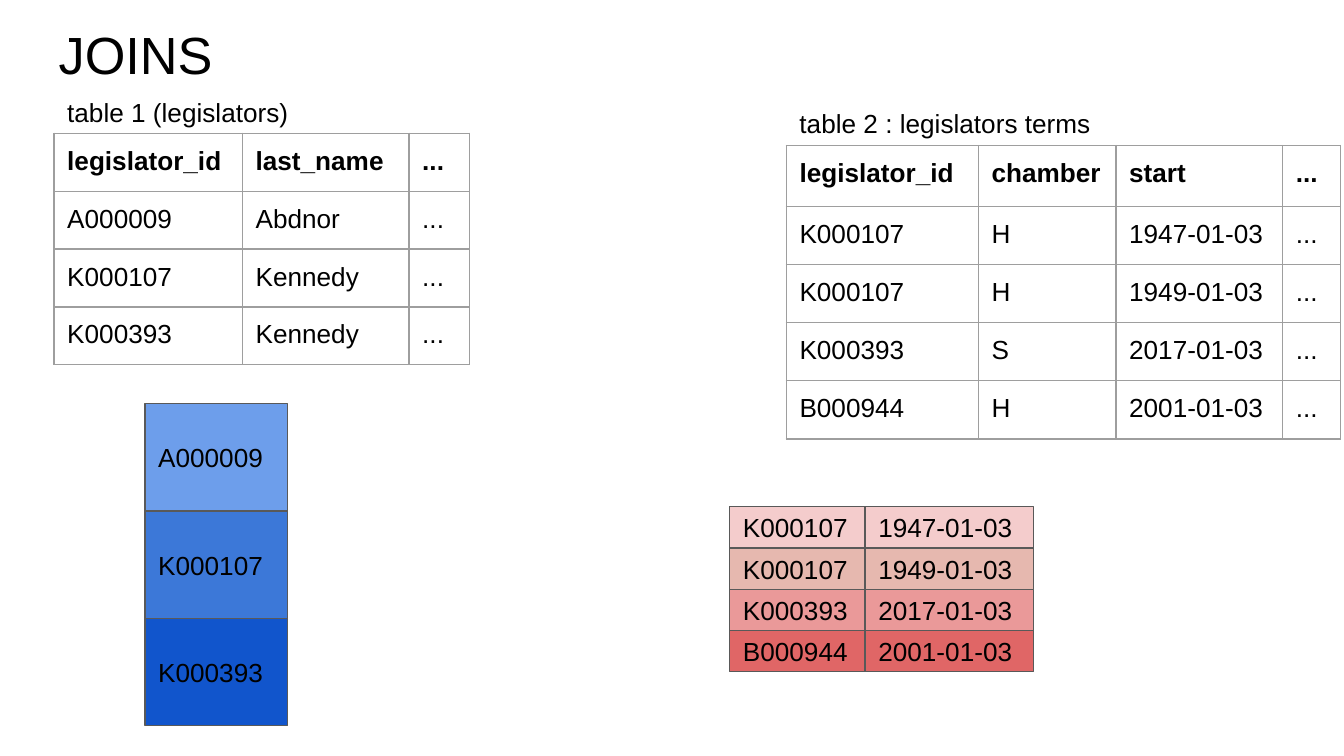
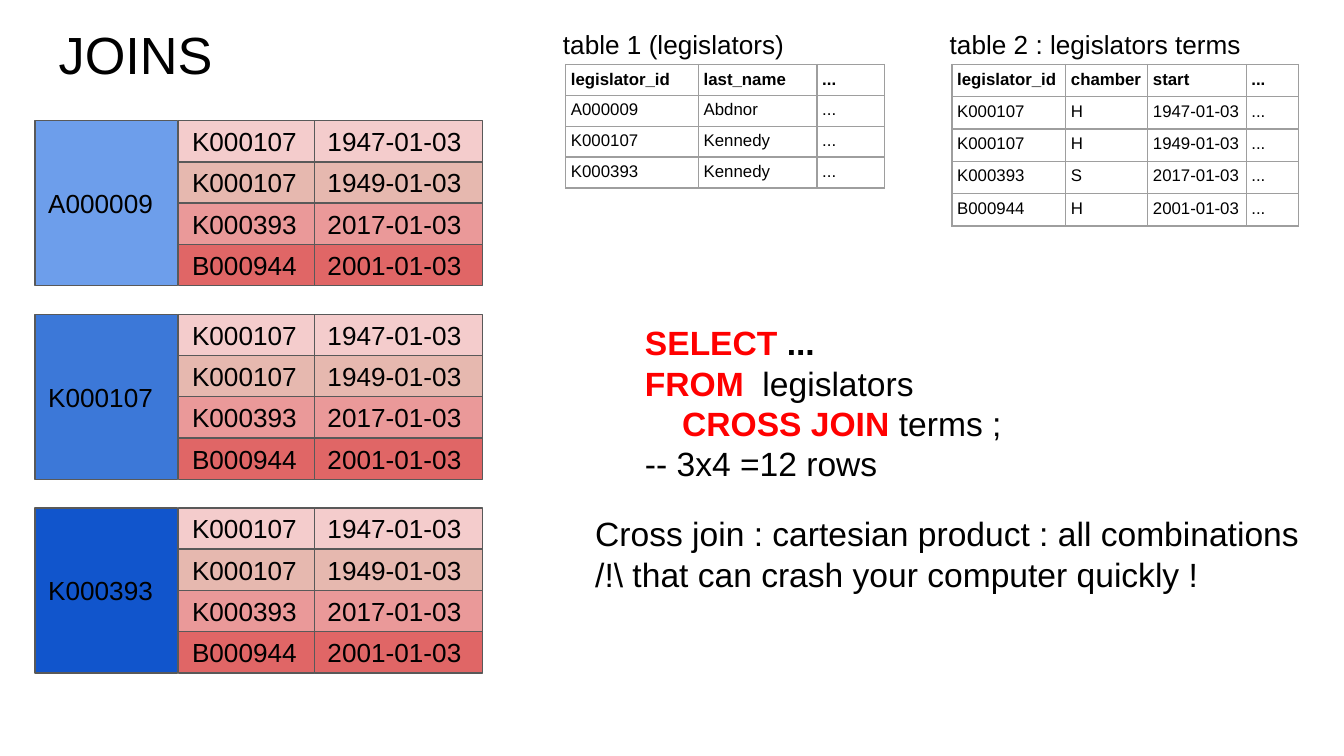
from dataclasses import dataclass

from lxml import etree
from pptx import Presentation
from pptx import util as u
from pptx.dml.color import RGBColor
from pptx.enum import shapes, text
from pptx.oxml import ns


@dataclass(frozen=True)
class Theme:
    font: str = "Arial"
    ink: str = "000000"
    keyword: str = "FF0000"
    box_line: str = "595959"
    grid: str = "9E9E9E"
    blues: tuple = ("6D9EEB", "3C78D8", "1155CC")
    reds: tuple = ("F4CCCC", "E6B8AF", "EA9999", "E06666")
    title: int = 28
    large: int = 18
    body: int = 14
    small: int = 9
    line: float = 0.75
    inset: float = 0.25


T = Theme()


def write(tf, paragraphs, size):
    """Each paragraph is a list of (text, colour, bold) runs."""
    for i, runs in enumerate(paragraphs):
        p = tf.add_paragraph() if i else tf.paragraphs[0]
        p.alignment = text.PP_ALIGN.LEFT
        for words, colour, bold in runs:
            r = p.add_run()
            r.text = words
            r.font.name = T.font
            r.font.size = u.Pt(size)
            r.font.bold = bold
            r.font.color.rgb = RGBColor.from_string(colour)


def add_box(s, place, paragraphs, size, fill=None):
    """A filled, outlined rectangle, or a plain text box without a fill."""
    place = [u.Cm(v) for v in place]
    if fill:
        sp = s.shapes.add_shape(shapes.MSO_SHAPE.RECTANGLE, *place)
        sp.shadow.inherit = False
        sp.fill.solid()
        sp.fill.fore_color.rgb = RGBColor.from_string(fill)
        sp.line.color.rgb = RGBColor.from_string(T.box_line)
        sp.line.width = u.Pt(T.line)
    else:
        sp = s.shapes.add_textbox(*place)
    tf = sp.text_frame
    tf.word_wrap = True
    tf.vertical_anchor = text.MSO_ANCHOR.MIDDLE if fill else text.MSO_ANCHOR.TOP
    tf.margin_left = tf.margin_right = tf.margin_top = tf.margin_bottom = u.Cm(T.inset)
    write(tf, paragraphs, size)


# Data shared by both slides
legislators = [
    ("legislator_id", "last_name", "..."),
    ("A000009", "Abdnor", "..."),
    ("K000107", "Kennedy", "..."),
    ("K000393", "Kennedy", "..."),
]
terms = [
    ("legislator_id", "chamber", "start", "..."),
    ("K000107", "H", "1947-01-03", "..."),
    ("K000107", "H", "1949-01-03", "..."),
    ("K000393", "S", "2017-01-03", "..."),
    ("B000944", "H", "2001-01-03", "..."),
]
label_1, label_2 = "table 1 (legislators)", "table 2 : legislators terms"

# Per slide: labels, tables (rows, left, top, columns, header height, row height),
# text size and inset of the tables, blue column, corners of the red blocks
layouts = [
    dict(
        labels=[(label_1, 1.02, 1.57, 4.85), (label_2, 14.86, 1.78, 7.7)],
        tables=[
            (legislators, 1.02, 2.52, (3.56, 3.15, 1.14), 1.06, 1.06),
            (terms, 14.86, 2.75, (3.63, 2.6, 3.15, 1.09), 1.15, 1.1),
        ],
        size=T.body, inset=T.inset,
        blue=dict(left=2.74, top=7.63, height=2.03, pitch=2.03),
        reds=[(13.79, 9.58)],
    ),
    dict(
        labels=[(label_1, 10.39, 0.28, 4.85), (label_2, 17.7, 0.28, 7.7)],
        tables=[
            (legislators, 10.69, 1.22, (2.51, 2.24, 1.27), 0.56, 0.56),
            (terms, 17.99, 1.22, (2.15, 1.55, 1.86, 0.99), 0.61, 0.61),
        ],
        size=T.small, inset=0.1,
        blue=dict(left=0.66, top=2.28, height=3.12, pitch=3.66),
        reds=[(3.38, 2.28 + 3.66 * i) for i in range(3)],
    ),
]
blue_w, key_w, date_w, term_h = 2.7, 2.56, 3.18, 0.78

prs = Presentation()
prs.slide_width, prs.slide_height = u.Cm(25.4), u.Cm(14.29)

for lay in layouts:
    s = prs.slides.add_slide(prs.slide_layouts[6])

    # Title and table labels
    add_box(s, (0.86, 0.18, 23.67, 1.6), [[("JOINS", T.ink, False)]], T.title)
    for words, x, y, w in lay["labels"]:
        add_box(s, (x, y, w, 1.3), [[(words, T.ink, False)]], T.body)

    # Source tables
    for rows, x, y, cols, head_h, row_h in lay["tables"]:
        heights = [head_h] + [row_h] * (len(rows) - 1)
        tbl = s.shapes.add_table(len(rows), len(cols), u.Cm(x), u.Cm(y),
                                 u.Cm(sum(cols)), u.Cm(sum(heights))).table
        tbl.first_row = tbl.horz_banding = False
        for col, w in zip(tbl.columns, cols):
            col.width = u.Cm(w)
        for i, values in enumerate(rows):
            tbl.rows[i].height = u.Cm(heights[i])
            for j, value in enumerate(values):
                cell = tbl.cell(i, j)
                cell.margin_left = cell.margin_right = u.Cm(lay["inset"])
                cell.margin_top = cell.margin_bottom = u.Cm(lay["inset"])
                tcPr = cell._tc.get_or_add_tcPr()
                for side in ("lnL", "lnR", "lnT", "lnB"):
                    ln = etree.SubElement(tcPr, ns.qn(f"a:{side}"), w=str(u.Pt(T.line)))
                    solid = etree.SubElement(ln, ns.qn("a:solidFill"))
                    etree.SubElement(solid, ns.qn("a:srgbClr"), val=T.grid)
                cell.fill.background()
                write(cell.text_frame, [[(value, T.ink, i == 0)]], lay["size"])

    # Legislator keys in blue
    blue = lay["blue"]
    for i, (row, fill) in enumerate(zip(legislators[1:], T.blues)):
        add_box(s, (blue["left"], blue["top"] + i * blue["pitch"], blue_w, blue["height"]),
                [[(row[0], T.ink, False)]], T.body, fill)

    # Term keys and start dates in red
    for x, y in lay["reds"]:
        for i, (row, fill) in enumerate(zip(terms[1:], T.reds)):
            top = y + i * term_h
            add_box(s, (x, top, key_w, term_h), [[(row[0], T.ink, False)]], T.body, fill)
            add_box(s, (x + key_w, top, date_w, term_h),
                    [[(row[2], T.ink, False)]], T.body, fill)

# Query and explanation on the last slide
query = [
    [("SELECT ", T.keyword, True), ("...", T.ink, True)],
    [("FROM", T.keyword, True), ("  legislators", T.ink, False)],
    [("    CROSS JOIN ", T.keyword, True), ("terms ;", T.ink, False)],
    [("-- 3x4 =12 rows", T.ink, False)],
]
remarks = [
    [("Cross join : cartesian product : all combinations", T.ink, False)],
    [("/!\\ that can crash your computer quickly !", T.ink, False)],
]
add_box(s, (11.94, 5.84, 7.47, 3.07), query, T.large)
add_box(s, (11, 9.45, 14.4, 3.07), remarks, T.large)

prs.save("out.pptx")
